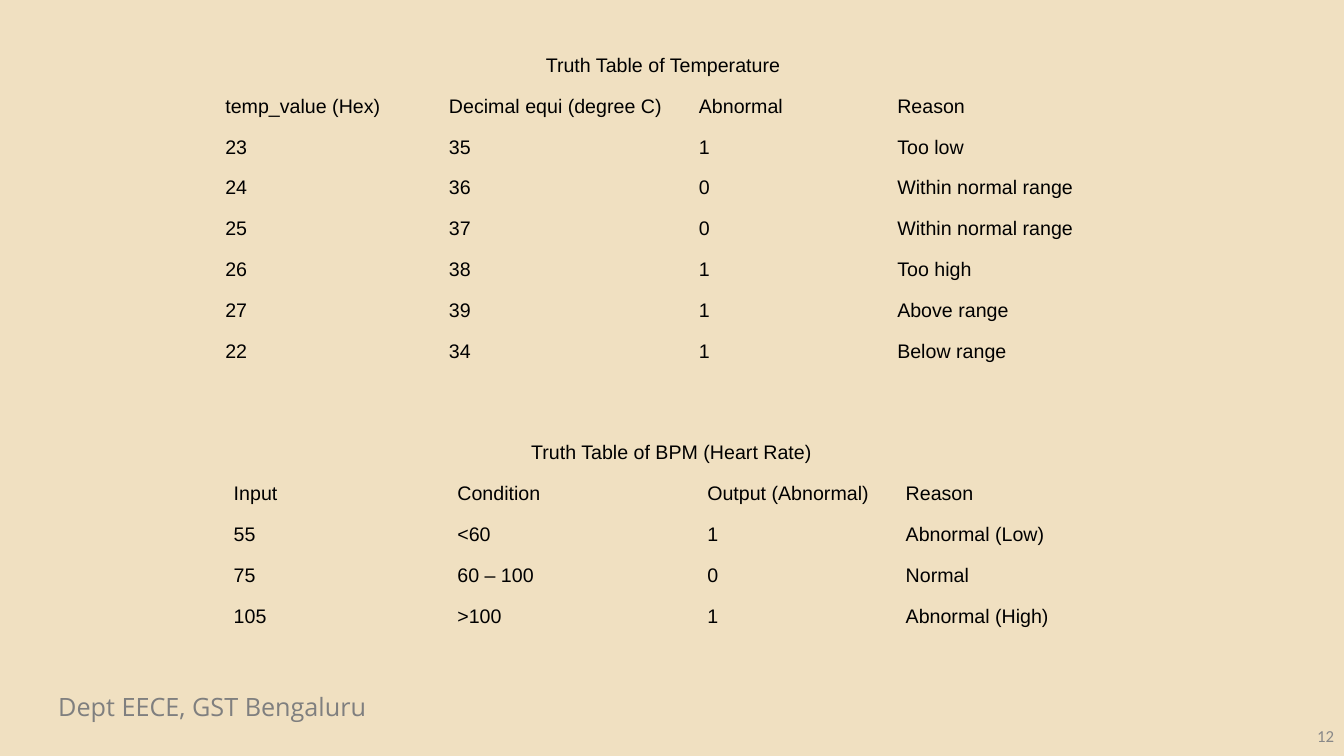
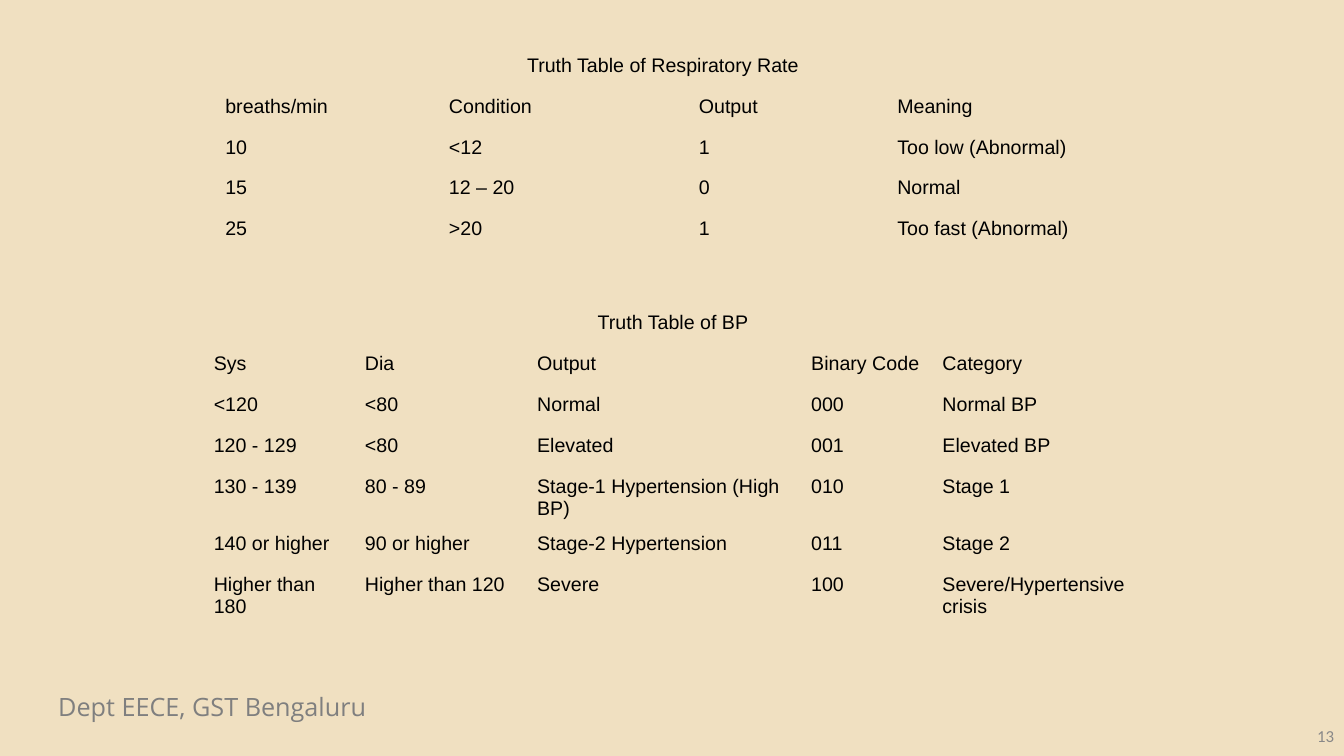
from dataclasses import dataclass

from pptx import Presentation
from pptx.dml.color import RGBColor
from pptx.enum.text import MSO_ANCHOR, PP_ALIGN
from pptx.oxml.ns import qn
from pptx.util import Pt

PX = 9525  # EMU per px, 96 px to the inch
LEFT, CENTER, RIGHT = PP_ALIGN.LEFT, PP_ALIGN.CENTER, PP_ALIGN.RIGHT
TOP, MIDDLE = MSO_ANCHOR.TOP, MSO_ANCHOR.MIDDLE
BLANK = 6
PLAIN_TABLE = "{2D5ABB26-0587-4C30-8999-92F81FD0307C}"


@dataclass(frozen=True)
class Theme:
    back: str = "F0E0C1"
    text: str = "000000"
    footer: str = "7F7F7F"
    number: str = "888888"
    body_font: str = "Arial"
    footer_font: str = "Open Sans"
    number_font: str = "Calibri"
    body_size: int = 14
    footer_size: int = 18
    number_size: int = 12


T = Theme()
FOOTER = "Dept EECE, GST Bengaluru"
FIRST_NUMBER = 12
ROW_H = 39
WIDE_COLS = (213, 238, 189, 213)
BP_COLS = (144, 164, 261, 125, 200)

# Each table: left, top, column widths, title, rows
SLIDES = [
    [
        (205, 47, WIDE_COLS, "Truth Table of Temperature", [
            ("temp_value (Hex)", "Decimal equi (degree C)", "Abnormal", "Reason"),
            ("23", "35", "1", "Too low"),
            ("24", "36", "0", "Within normal range"),
            ("25", "37", "0", "Within normal range"),
            ("26", "38", "1", "Too high"),
            ("27", "39", "1", "Above range"),
            ("22", "34", "1", "Below range"),
        ]),
        (213, 416, WIDE_COLS, "Truth Table of BPM (Heart Rate)", [
            ("Input", "Condition", "Output (Abnormal)", "Reason"),
            ("55", "<60", "1", "Abnormal (Low)"),
            ("75", "60 – 100", "0", "Normal"),
            ("105", ">100", "1", "Abnormal (High)"),
        ]),
    ],
    [
        (205, 47, WIDE_COLS, "Truth Table of Respiratory Rate", [
            ("breaths/min", "Condition", "Output", "Meaning"),
            ("10", "<12", "1", "Too low (Abnormal)"),
            ("15", "12 – 20", "0", "Normal"),
            ("25", ">20", "1", "Too fast (Abnormal)"),
        ]),
        (194, 292, BP_COLS, "Truth Table of BP", [
            ("Sys", "Dia", "Output", "Binary Code", "Category"),
            ("<120", "<80", "Normal", "000", "Normal BP"),
            ("120 - 129", "<80", "Elevated", "001", "Elevated BP"),
            ("130 - 139", "80 - 89", "Stage-1 Hypertension (High BP)", "010", "Stage 1"),
            ("140 or higher", "90 or higher", "Stage-2 Hypertension", "011", "Stage 2"),
            ("Higher than 180", "Higher than 120", "Severe", "100",
             "Severe/Hypertensive crisis"),
        ]),
    ],
]


def write(tf, text, font=T.body_font, size=T.body_size, color=T.text, align=LEFT):
    p = tf.paragraphs[0]
    p.alignment = align
    r = p.add_run()
    r.text = text
    r.font.name = font
    r.font.size = Pt(size)
    r.font.color.rgb = RGBColor.from_string(color)


def add_label(slide, box, text, anchor=TOP, **fmt):
    tf = slide.shapes.add_textbox(*(v * PX for v in box)).text_frame
    tf.word_wrap = True
    tf.vertical_anchor = anchor
    write(tf, text, **fmt)


def add_truth_table(slide, left, top, cols, title, rows):
    n = len(rows) + 1
    table = slide.shapes.add_table(
        n, len(cols), left * PX, top * PX, sum(cols) * PX, n * ROW_H * PX).table
    table.first_row = table.horz_banding = False
    table._tbl.tblPr.find(qn("a:tableStyleId")).text = PLAIN_TABLE
    for col, width in zip(table.columns, cols):
        col.width = width * PX
    for cell in table.iter_cells():
        cell.fill.background()

    # Title across the first row
    table.cell(0, 0).merge(table.cell(0, len(cols) - 1))
    write(table.cell(0, 0).text_frame, title, align=CENTER)

    # Headings and values
    for i, row in enumerate(rows, start=1):
        for j, text in enumerate(row):
            write(table.cell(i, j).text_frame, text)


def add_footer(slide, number):
    add_label(slide, (46, 654, 503, 38), FOOTER,
              font=T.footer_font, size=T.footer_size, color=T.footer)
    add_label(slide, (992, 682, 288, 38), str(number), anchor=MIDDLE,
              font=T.number_font, size=T.number_size, color=T.number, align=RIGHT)


def main():
    prs = Presentation()
    prs.slide_width, prs.slide_height = 1280 * PX, 720 * PX
    fill = prs.slide_master.background.fill
    fill.solid()
    fill.fore_color.rgb = RGBColor.from_string(T.back)

    for number, tables in enumerate(SLIDES, start=FIRST_NUMBER):
        slide = prs.slides.add_slide(prs.slide_layouts[BLANK])
        add_footer(slide, number)
        for spec_row in tables:
            add_truth_table(slide, *spec_row)
    prs.save("out.pptx")


if __name__ == "__main__":
    main()
